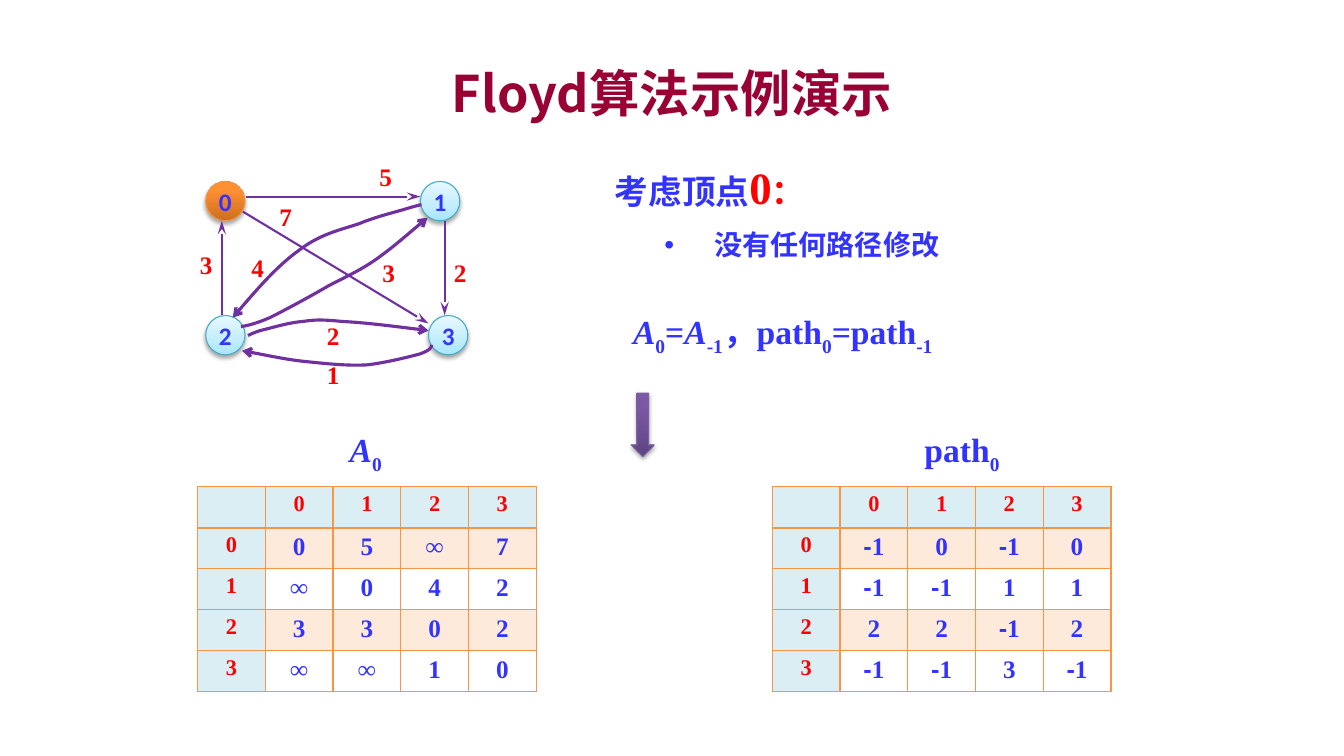
from lxml import etree
from pptx import Presentation, util as u
from pptx.dml.color import RGBColor
from pptx.enum import shapes, text
from pptx.oxml.ns import qn

# ---- Content ----
SLIDE = (13.33, 7.5)
COLOURS = {"title": "990033", "blue": "3333FF", "red": "FF0000", "edge": "7030A0",
           "head": "DBEEF4", "grid": "F79646", "orange": "F69240", "aqua": "46AAC5",
           "violet": "7D60A0", "black": "000000"}
GRADIENTS = {"orange": [(0, "CC6E20"), (80, "FF9034"), (100, "FF9136")],
             "aqua": [(0, "A7E6FF"), (35, "C1EDFF"), (100, "E7F8FF")],
             "violet": [(0, "5F4480"), (80, "7B58A6"), (100, "7C57A8")]}
SERIF, CJK = "Times New Roman", "Noto Sans CJK SC"
BASE = {"size": 24, "name": SERIF, "color": "blue", "bold": True}
SUB, ITALIC = {"baseline": -25}, {"italic": True}

# left, top, width, height, runs, paragraph options
TEXTS = [
    (1, 0.5, 11.33, 0.83,
     [("Floyd算法示例演示", {"size": 36, "name": CJK, "color": "title"})],
     {"align": "CENTER", "anchor": "MIDDLE"}),
    (6.1, 1.58, 2.23, 0.54,
     [("考虑顶点", {}), ("0", {"size": 32, "color": "red"}), ("：", {"color": "red"})],
     {"inset": 0}),
    (6.49, 2.21, 3.05, 0.44, [("没有任何路径修改", {"size": 20})], {"bullet": "•"}),
    (6.18, 3.04, 3.59, 0.5,
     [("A", ITALIC), ("0", SUB), ("=", {}), ("A", ITALIC), ("-1", SUB),
      ("，path", {}), ("0", SUB), ("=path", {}), ("-1", SUB)], {}),
    (3.37, 4.21, 0.7, 0.5, [("A", ITALIC), ("0", SUB)], {}),
    (9.07, 4.21, 1.09, 0.5, [("path", {}), ("0", SUB)], {}),
]
NODE_SIZE = 0.39
NODES = [("0", 2.04, 1.8, "orange"), ("1", 4.17, 1.8, "aqua"),
         ("2", 2.04, 3.13, "aqua"), ("3", 4.25, 3.13, "aqua")]
STRAIGHT_EDGES = [(2.44, 1.95, 4.17, 1.95), (2.2, 3.13, 2.2, 2.19),
                  (2.41, 2.1, 4.25, 3.21), (4.41, 2.19, 4.41, 3.13)]
# Each curve: a start, then three Bezier points per segment
CURVED_EDGES = [
    [(4.28, 3.42), (4.28, 3.45), (4.27, 3.47), (4.17, 3.51), (4.06, 3.54), (3.82, 3.6),
     (3.64, 3.62), (3.45, 3.63), (3.26, 3.61), (3.06, 3.59), (2.85, 3.57), (2.63, 3.52),
     (2.4, 3.48)],
    [(2.46, 3.33), (2.48, 3.32), (2.49, 3.31), (2.58, 3.28), (2.67, 3.26), (2.86, 3.2),
     (3, 3.19), (3.14, 3.17), (3.19, 3.17), (3.4, 3.19), (3.61, 3.2), (3.93, 3.24),
     (4.25, 3.28)],
    [(4.18, 2.03), (4.14, 2.04), (4.1, 2.05), (4, 2.08), (3.9, 2.11), (3.73, 2.15),
     (3.56, 2.22), (3.38, 2.28), (3.18, 2.32), (2.97, 2.48), (2.76, 2.63), (2.53, 2.89),
     (2.31, 3.15)],
    [(2.39, 3.24), (2.46, 3.23), (2.54, 3.21), (2.68, 3.15), (2.82, 3.08), (3.08, 2.94),
     (3.25, 2.84), (3.42, 2.75), (3.56, 2.69), (3.72, 2.58), (3.89, 2.46), (4.06, 2.31),
     (4.24, 2.16)],
]
WEIGHTS = [("5", 3.59, 1.55), ("3", 1.81, 2.42), ("2", 4.33, 2.5), ("7", 2.6, 1.95),
           ("3", 3.62, 2.5), ("1", 3.07, 3.52), ("2", 3.07, 3.13), ("4", 2.32, 2.45)]
DOWN_ARROW = (6.26, 3.9, 0.23, 0.63)
TABLE_TOP, TABLE_WIDTH, TABLE_HEIGHT = 4.83, 3.36, 2.03
TABLES = [
    (1.96, ["0 5 ∞ 7", "∞ 0 4 2", "3 3 0 2", "∞ ∞ 1 0"]),
    (7.66, ["-1 0 -1 0", "-1 -1 1 1", "2 2 -1 2", "-1 -1 3 -1"]),
]

deck = Presentation()
deck.slide_width, deck.slide_height = map(u.Inches, SLIDE)
page = deck.slides.add_slide(deck.slide_layouts[6])


# ---- Helpers ----
def inches(*lengths):
    return [u.Inches(length) for length in lengths]


def rgb(name):
    return RGBColor.from_string(COLOURS[name])


def add_xml(parent, tag, **values):
    node = etree.SubElement(parent, qn(tag))
    for key, value in values.items():
        node.set(key, str(value))
    return node


def add_runs(para, runs, align=None):
    if align:
        para.alignment = getattr(text.PP_ALIGN, align)
    for words, changes in runs:
        look = {**BASE, **changes}
        span = para.add_run()
        span.text = words
        span.font.color.rgb = rgb(look.pop("color"))
        baseline = look.pop("baseline", None)
        look["size"] = u.Pt(look["size"])
        for key, value in look.items():
            setattr(span.font, key, value)
        props = span._r.get_or_add_rPr()
        if baseline:
            props.set("baseline", str(baseline * 1000))
        if any(ord(letter) > 0x2E80 for letter in words):
            add_xml(props, "a:ea", typeface=CJK)


def add_text(left, top, width, height, runs, options):
    box = page.shapes.add_textbox(*inches(left, top, width, height))
    frame = box.text_frame
    frame.word_wrap = True
    frame.vertical_anchor = getattr(text.MSO_ANCHOR, options.get("anchor", "TOP"))
    if "inset" in options:
        for side in ("left", "top", "right", "bottom"):
            setattr(frame, f"margin_{side}", u.Inches(options["inset"]))
    para = frame.paragraphs[0]
    add_runs(para, runs, options.get("align"))
    if "bullet" in options:
        props = para._p.get_or_add_pPr()
        props.set("marL", str(u.Inches(0.5)))
        props.set("indent", str(u.Inches(-0.5)))
        add_xml(props, "a:buFont", typeface="Arial")
        add_xml(props, "a:buChar", char=options["bullet"])


def add_glossy(kind, bounds, theme):
    shape = page.shapes.add_shape(kind, *inches(*bounds))
    shape.fill.gradient()
    shape.fill.gradient_angle = 90
    shape.line.color.rgb, shape.line.width = rgb(theme), u.Pt(0.75)
    shape.shadow.inherit = False
    props = shape._element.spPr
    stops = props.find(qn("a:gradFill")).find(qn("a:gsLst"))
    for stop in list(stops):
        stops.remove(stop)
    for share, colour in GRADIENTS[theme]:
        add_xml(add_xml(stops, "a:gs", pos=share * 1000), "a:srgbClr", val=colour)
    shadow = add_xml(props.find(qn("a:effectLst")), "a:outerShdw", blurRad=u.Pt(3.1),
                     dist=u.Pt(1.8), dir=5400000, rotWithShape=0)
    add_xml(add_xml(shadow, "a:srgbClr", val=COLOURS["black"]), "a:alpha", val=35000)
    return shape


def style_edge(edge, width, **tip):
    edge.line.color.rgb, edge.line.width = rgb("edge"), u.Pt(width)
    add_xml(edge.line._get_or_add_ln(), "a:tailEnd", **tip)


def add_curve(knots):
    start, *points = [inches(*knot) for knot in knots]
    outline = page.shapes.build_freeform(*start)
    outline.add_line_segments(points, close=False)
    curve = outline.convert_to_shape()
    # Join every three straight steps into one Bezier segment
    steps = list(curve._element.iter(qn("a:lnTo")))
    track = steps[0].getparent()
    for first in range(0, len(steps), 3):
        bend = add_xml(track, "a:cubicBezTo")
        for step in steps[first:first + 3]:
            bend.append(step[0])
            track.remove(step)
    curve.fill.background()
    curve.shadow.inherit = False
    return curve


# ---- Title, notes and captions ----
for entry in TEXTS:
    add_text(*entry)

# ---- Graph ----
for name, left, top, theme in NODES:
    node = add_glossy(shapes.MSO_SHAPE.OVAL, (left, top, NODE_SIZE, NODE_SIZE), theme)
    node.text_frame.word_wrap = False
    node.text_frame.vertical_anchor = text.MSO_ANCHOR.MIDDLE
    add_runs(node.text_frame.paragraphs[0], [(name, {"size": 18, "name": "Calibri"})], "CENTER")
for ends in STRAIGHT_EDGES:
    edge = page.shapes.add_connector(shapes.MSO_CONNECTOR.STRAIGHT, *inches(*ends))
    style_edge(edge, 1.5, type="stealth", len="lg")
    add_xml(edge._element.spPr, "a:effectLst")
for weight, left, top in WEIGHTS:
    add_text(left, top, 0.47, 0.4, [(weight, {"size": 18, "color": "red"})], {"align": "CENTER"})
for knots in CURVED_EDGES:
    style_edge(add_curve(knots), 2.25, type="arrow")

# ---- Tables ----
for left, lines in TABLES:
    rows = [["", "0", "1", "2", "3"]]
    rows += [[str(number), *line.split()] for number, line in enumerate(lines)]
    count = len(rows)
    table = page.shapes.add_table(
        count, count, *inches(left, TABLE_TOP, TABLE_WIDTH, TABLE_HEIGHT)).table
    table.first_row = table.horz_banding = False
    for i, row in enumerate(rows):
        for j, value in enumerate(row):
            cell = table.cell(i, j)
            props = cell._tc.get_or_add_tcPr()
            for side in "LRTB":
                heavy = (i, side) in ((0, "B"), (1, "T"))
                border = add_xml(props, f"a:ln{side}", w=u.Pt(2 if heavy else 1))
                add_xml(add_xml(border, "a:solidFill"), "a:srgbClr", val=COLOURS["grid"])
            header = i == 0 or j == 0
            if header or i % 2:
                cell.fill.solid()
                cell.fill.fore_color.rgb = rgb("head" if header else "grid")
                if not header:
                    tint = props.find(qn("a:solidFill")).find(qn("a:srgbClr"))
                    add_xml(tint, "a:alpha", val=20000)
            else:
                cell.fill.background()
            look = {"size": 16, "color": "red"} if header else {"size": 18}
            runs = [("-", {**look, "name": "Arial"})] if value.startswith("-") else []
            if value:
                runs.append((value.lstrip("-"), look))
            add_runs(cell.text_frame.paragraphs[0], runs, "CENTER")

# ---- Down arrow ----
add_glossy(shapes.MSO_SHAPE.DOWN_ARROW, DOWN_ARROW, "violet")

deck.save("out.pptx")
